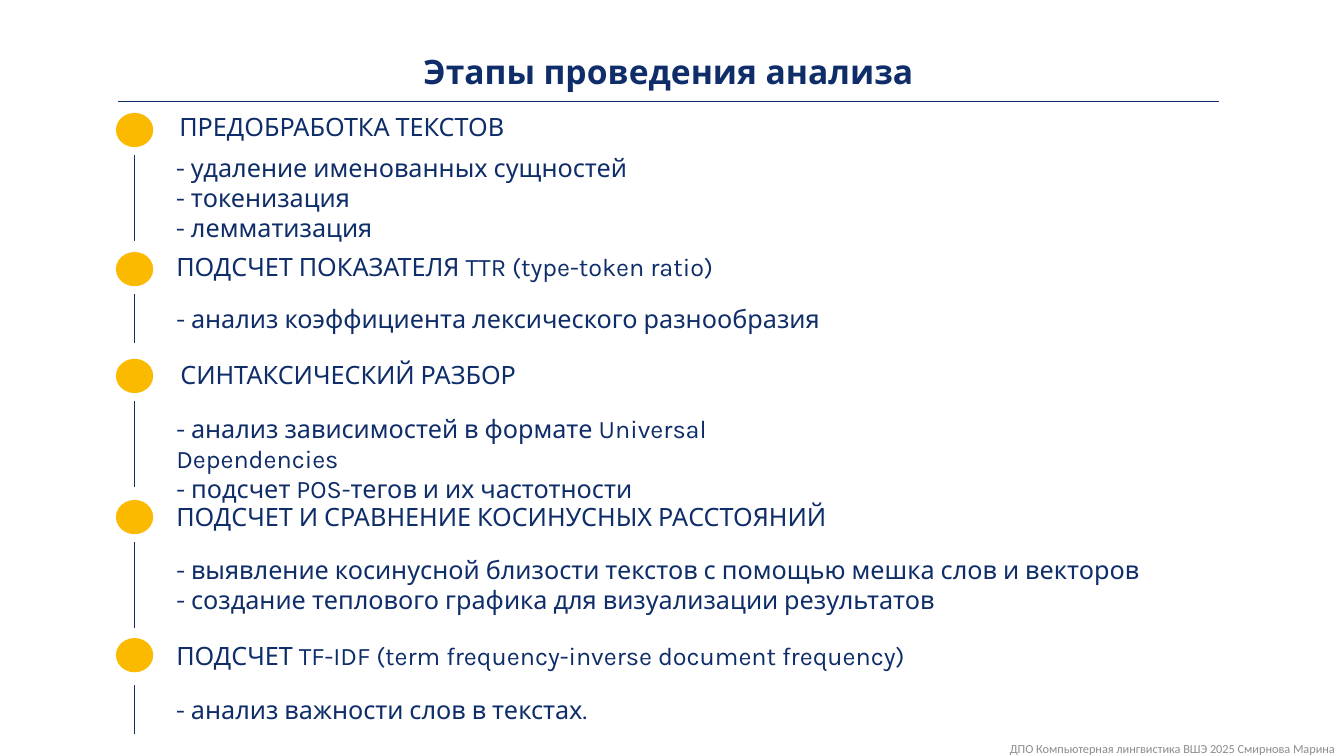
import pptx
import pptx.dml.color
import pptx.enum.shapes
import pptx.enum.text
import pptx.oxml.ns
import pptx.util
from lxml import etree

Inches = pptx.util.Inches
ALIGN = pptx.enum.text.PP_ALIGN
ANCHOR = pptx.enum.text.MSO_ANCHOR

NAVY, AMBER, GRAY = "0E2D69", "FBBA00", "8C8C8C"
TITLE = "Этапы проведения анализа"
FOOTER = "ДПО Компьютерная лингвистика ВШЭ 2025 Смирнова Марина"

STEPS = [
    {"heading": "ПРЕДОБРАБОТКА ТЕКСТОВ",
     "details": ["- удаление именованных сущностей", "- токенизация", "- лемматизация"],
     "dot_top": 1.12, "heading_at": (1.68, 1.06), "details_top": 1.46,
     "details_width": 6.67, "rail": (1.54, 2.39)},
    {"heading": "ПОДСЧЕТ ПОКАЗАТЕЛЯ TTR (type-token ratio)",
     "details": ["- анализ коэффициента лексического разнообразия"],
     "dot_top": 2.5, "heading_at": (1.65, 2.44), "details_top": 2.96,
     "details_width": 8.22, "rail": (2.92, 3.4)},
    {"heading": "СИНТАКСИЧЕСКИЙ РАЗБОР",
     "details": ["- анализ зависимостей в формате Universal Dependencies",
                 "- подсчет POS-тегов и их частотности"],
     "dot_top": 3.56, "heading_at": (1.69, 3.52), "details_top": 4.05,
     "details_width": 6.38, "rail": (3.98, 4.83)},
    {"heading": "ПОДСЧЕТ И СРАВНЕНИЕ КОСИНУСНЫХ РАССТОЯНИЙ",
     "details": ["- выявление косинусной близости текстов с помощью мешка слов и векторов",
                 "- создание теплового графика для визуализации результатов"],
     "dot_top": 4.96, "heading_at": (1.65, 4.92), "details_top": 5.45,
     "details_width": 10.42, "rail": (5.38, 6.23)},
    {"heading": "ПОДСЧЕТ TF-IDF (term frequency-inverse document frequency)",
     "details": ["- анализ важности слов в текстах."],
     "dot_top": 6.33, "heading_at": (1.65, 6.3), "details_top": 6.84,
     "details_width": 6.67, "rail": (6.8, 7.28)},
]

DOT_LEFT, DOT_WIDTH, DOT_HEIGHT = 1.15, 0.37, 0.34
RAIL_X = DOT_LEFT + DOT_WIDTH / 2
DETAILS_LEFT, HEADING_WIDTH = 1.65, 10.42
LINE_HEIGHT, BOX_PADDING = 0.3, 0.1

BODY_FONT = {"name": "Karla", "size": pptx.util.Pt(18)}
TITLE_FONT = {"name": "Karla", "size": pptx.util.Pt(24), "bold": True}
FOOTER_FONT = {"name": "Calibri", "size": pptx.util.Pt(8.8)}


def color(hex_value):
    return pptx.dml.color.RGBColor.from_string(hex_value)


def write(frame, lines, font, hex_value, alignment):
    """Fill a text frame with one formatted paragraph per line."""
    frame.word_wrap = True
    for index, line in enumerate(lines):
        paragraph = frame.add_paragraph() if index else frame.paragraphs[0]
        paragraph.alignment = alignment
        run = paragraph.add_run()
        run.text = line
        for name, value in font.items():
            setattr(run.font, name, value)
        run.font.color.rgb = color(hex_value)


def add_text(slide, left, top, width, lines, alignment):
    height = LINE_HEIGHT * len(lines) + BOX_PADDING
    box = slide.shapes.add_textbox(
        Inches(left), Inches(top), Inches(width), Inches(height))
    write(box.text_frame, lines, BODY_FONT, NAVY, alignment)


def add_line(slide, x1, y1, x2, y2):
    line = slide.shapes.add_connector(
        pptx.enum.shapes.MSO_CONNECTOR.STRAIGHT,
        Inches(x1), Inches(y1), Inches(x2), Inches(y2))
    line.line.color.rgb = color(NAVY)
    line.line.width = pptx.util.Pt(1)
    properties = line._element.spPr
    etree.SubElement(properties, pptx.oxml.ns.qn("a:effectLst"))


def add_title(slide):
    title = slide.shapes.title
    title.left, title.top = Inches(1.17), Inches(0.5)
    title.width, title.height = Inches(10.92), Inches(0.48)
    frame = title.text_frame
    for side in ("left", "top", "right", "bottom"):
        setattr(frame, f"margin_{side}", 0)
    frame.auto_size = pptx.enum.text.MSO_AUTO_SIZE.NONE
    frame.vertical_anchor = ANCHOR.TOP
    write(frame, [TITLE], TITLE_FONT, NAVY, ALIGN.CENTER)
    add_line(slide, 12.09, 1.01, 1.17, 1.01)


def add_step(slide, step):
    dot = slide.shapes.add_shape(
        pptx.enum.shapes.MSO_SHAPE.OVAL, Inches(DOT_LEFT),
        Inches(step["dot_top"]), Inches(DOT_WIDTH), Inches(DOT_HEIGHT))
    dot.shadow.inherit = False
    dot.fill.solid()
    dot.fill.fore_color.rgb = color(AMBER)
    dot.line.fill.background()

    rail_top, rail_bottom = step["rail"]
    add_line(slide, RAIL_X, rail_bottom, RAIL_X, rail_top)
    add_text(slide, *step["heading_at"], HEADING_WIDTH,
             [step["heading"]], ALIGN.JUSTIFY)
    add_text(slide, DETAILS_LEFT, step["details_top"], step["details_width"],
             step["details"], ALIGN.LEFT)


def add_footer(slide):
    footer = slide.shapes.add_textbox(
        Inches(9.84), Inches(7.31), Inches(3.58), Inches(0.23))
    footer.text_frame.vertical_anchor = ANCHOR.MIDDLE
    write(footer.text_frame, [FOOTER], FOOTER_FONT, GRAY, ALIGN.CENTER)


def main():
    presentation = pptx.Presentation()
    presentation.slide_width = Inches(13.33)
    presentation.slide_height = Inches(7.5)
    slide = presentation.slides.add_slide(presentation.slide_layouts[5])
    add_title(slide)
    for step in STEPS:
        add_step(slide, step)
    add_footer(slide)
    presentation.save("out.pptx")


if __name__ == "__main__":
    main()
